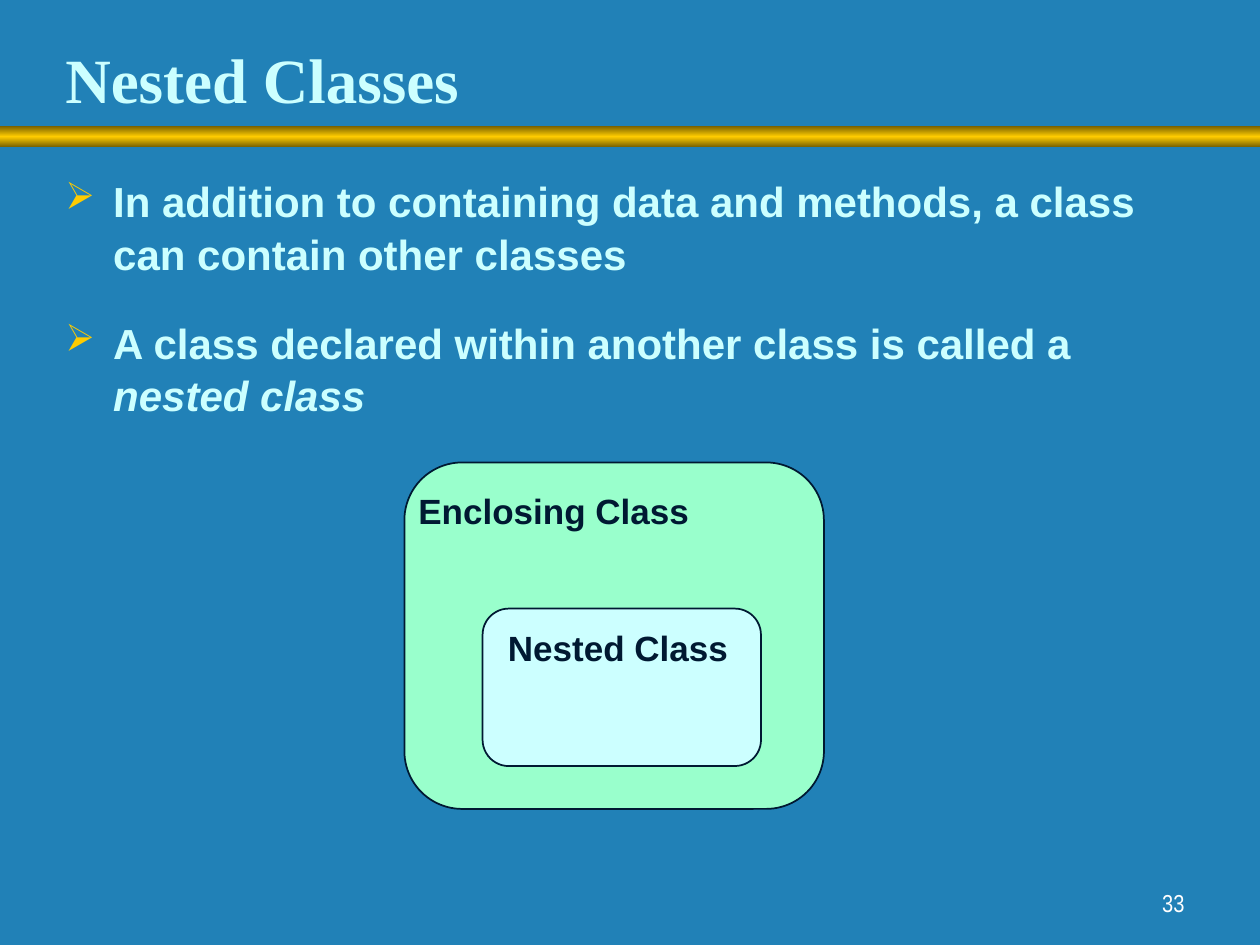
from dataclasses import dataclass

from lxml import etree
from pptx import Presentation
from pptx import util as u
from pptx.dml.color import RGBColor
from pptx.enum import shapes, text
from pptx.oxml.ns import qn


@dataclass(frozen=True)
class Theme:
    back: str = "2181B7"
    light: str = "CCFFFF"
    dark: str = "001932"
    mint: str = "99FFCC"
    gold: str = "FFCC00"
    bronze: str = "755E00"
    white: str = "FFFFFF"
    serif: str = "Times New Roman"
    sans: str = "Arial"
    narrow: str = "Arial Narrow"
    title: int = 36
    body: int = 24
    label: int = 20
    number: int = 14


def rgb(value):
    return RGBColor.from_string(value)


class Deck:
    def __init__(self, theme):
        self.theme = theme
        self.prs = Presentation()
        self.prs.slide_width, self.prs.slide_height = u.Inches(10), u.Inches(7.5)
        self.s = self.prs.slides.add_slide(self.prs.slide_layouts[6])
        self.fill(self.s.background, theme.back)

    def fill(self, target, color):
        target.fill.solid()
        target.fill.fore_color.rgb = rgb(color)

    def shape(self, kind, box):
        sp = self.s.shapes.add_shape(kind, *map(u.Inches, box))
        sp.shadow.inherit = False
        return sp

    def bar(self, box):
        t = self.theme
        sp = self.shape(shapes.MSO_SHAPE.RECTANGLE, box)
        sp.line.fill.background()
        sp.fill.gradient()
        sp.fill.gradient_angle = 90
        stops = sp.fill._fill._gradFill.find(qn("a:gsLst"))
        for gs in list(stops):
            stops.remove(gs)
        for pos, color in ((0, t.bronze), (50000, t.gold), (100000, t.bronze)):
            gs = etree.SubElement(stops, qn("a:gs"), pos=str(pos))
            etree.SubElement(gs, qn("a:srgbClr"), val=color)

    def card(self, box, color):
        sp = self.shape(shapes.MSO_SHAPE.FLOWCHART_ALTERNATE_PROCESS, box)
        self.fill(sp, color)
        sp.line.color.rgb = rgb(self.theme.dark)
        sp.line.width = u.Pt(1)

    def bullet(self, p):
        pPr = p._p.get_or_add_pPr()
        indent = u.Inches(0.38)
        pPr.set("marL", str(indent))
        pPr.set("indent", str(-indent))
        color = etree.SubElement(pPr, qn("a:buClr"))
        etree.SubElement(color, qn("a:srgbClr"), val=self.theme.gold)
        etree.SubElement(pPr, qn("a:buSzPct"), val="90000")
        etree.SubElement(pPr, qn("a:buChar"), char="➢")

    def text(self, box, paragraphs, color, font, anchor="TOP", align="LEFT",
             wrap=True, bullets=False):
        tf = self.s.shapes.add_textbox(*map(u.Inches, box)).text_frame
        tf.word_wrap = wrap
        tf.vertical_anchor = text.MSO_ANCHOR[anchor]
        for i, runs in enumerate(paragraphs):
            p = tf.paragraphs[0] if i == 0 else tf.add_paragraph()
            p.alignment = text.PP_ALIGN[align]
            if bullets:
                self.bullet(p)
                p.line_spacing = 1.04
                if i:
                    p.space_before = u.Pt(21)
            for words, extra in runs:
                r = p.add_run()
                r.text = words
                r.font.color.rgb = rgb(color)
                for key, value in {**font, **extra}.items():
                    setattr(r.font, key, value)


def main():
    t = Theme()
    deck = Deck(t)
    heading = {"name": t.serif, "size": u.Pt(t.title), "bold": True}
    body = {"name": t.sans, "size": u.Pt(t.body), "bold": True}
    label = {"name": t.sans, "size": u.Pt(t.label), "bold": True}
    number = {"name": t.narrow, "size": u.Pt(t.number), "bold": False}

    deck.bar((0, 1, 10, 0.17))
    deck.text((0.42, 0.22, 8.55, 0.75), [[("Nested Classes", {})]],
              t.light, heading, anchor="BOTTOM")
    points = [
        [("In addition to containing data and methods, a class "
          "can contain other classes", {})],
        [("A class declared within another class is called a ", {}),
         ("nested class", {"italic": True})],
    ]
    deck.text((0.42, 1.33, 9.08, 2.03), points, t.light, body, bullets=True)

    deck.card((3.21, 3.67, 3.33, 2.75), t.mint)
    deck.card((3.83, 4.83, 2.21, 1.25), t.light)
    for words, box in (("Enclosing Class", (3.22, 3.83, 2.35, 0.44)),
                       ("Nested Class", (3.93, 4.92, 1.95, 0.44))):
        deck.text(box, [[(words, {})]], t.dark, label,
                  anchor="MIDDLE", align="CENTER", wrap=False)

    deck.text((7.42, 6.83, 2.08, 0.5), [[("33", {})]], t.white, number,
              anchor="BOTTOM", align="RIGHT")
    deck.prs.save("out.pptx")


if __name__ == "__main__":
    main()
